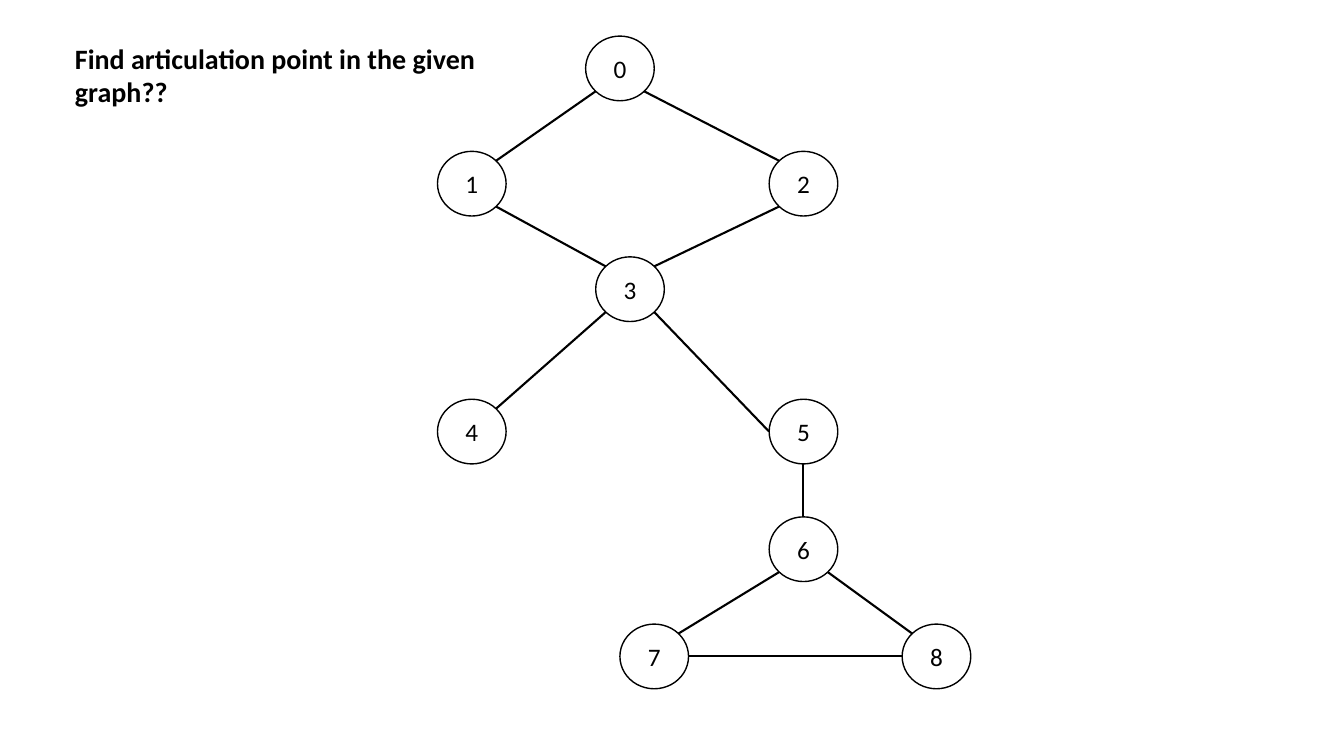
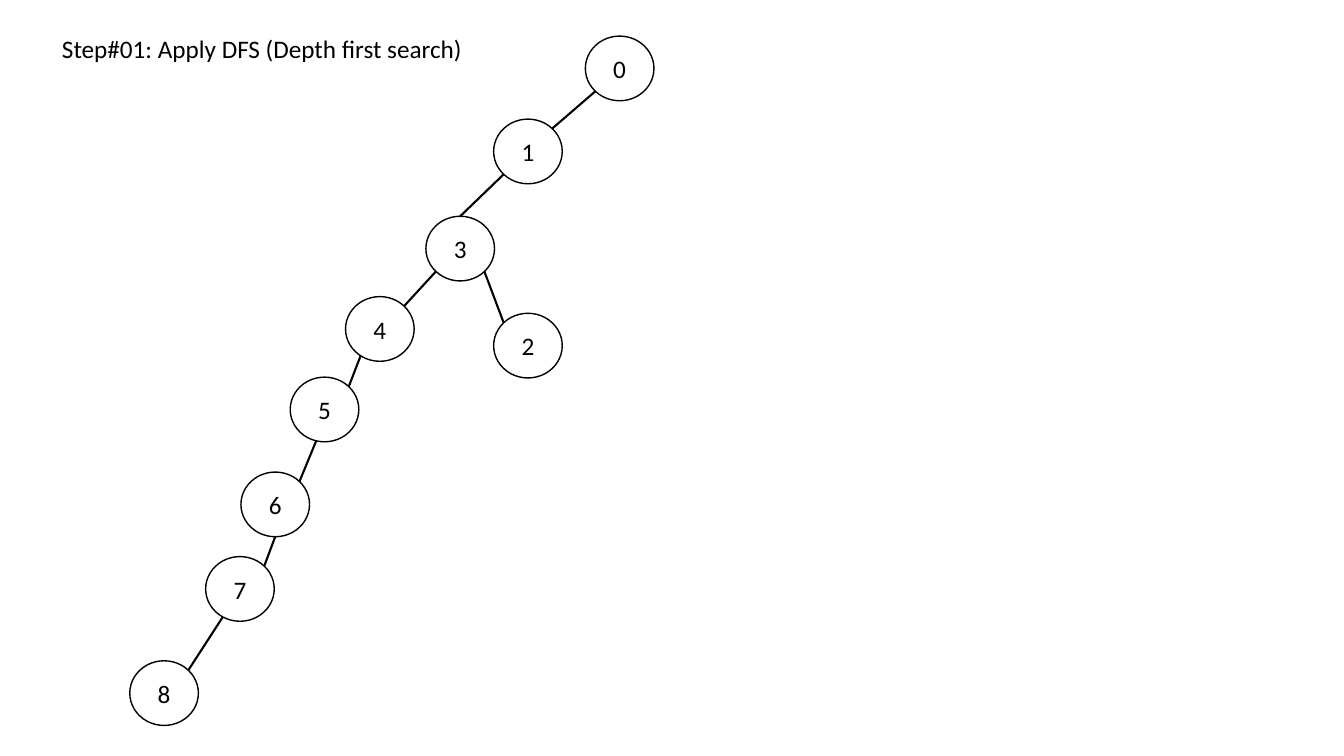
import math

import pptx
import pptx.dml.color
import pptx.enum.shapes
import pptx.enum.text
import pptx.oxml.ns
import pptx.util
from lxml import etree

Pt = pptx.util.Pt
COLORS = {"ink": "000000", "paper": "FFFFFF"}
FONT = "Calibri"
NODE_W, NODE_H = 49, 46.2
ANGLES = {"right": 0, "bottom right": 45, "bottom": 90, "bottom left": 135,
          "left": 180, "top left": 225, "top": 270, "top right": 315}

QUESTION_NODES = {
    "0": (105.8, 0), "1": (0, 82.3), "2": (236.9, 82.3),
    "3": (113, 157.7), "4": (0, 259.4), "5": (236.9, 259.4),
    "6": (236.9, 343.4), "7": (130.3, 420), "8": (331.9, 420),
}
QUESTION_EDGES = [
    ("1", "top right", "0", "bottom left"),
    ("0", "bottom right", "2", "top left"),
    ("3", "top left", "1", "bottom right"),
    ("3", "top right", "2", "bottom left"),
    ("4", "top right", "3", "bottom left"),
    ("5", "left", "3", "bottom right"),
    ("6", "top", "5", "bottom"),
    ("7", "top right", "6", "bottom left"),
    ("6", "bottom right", "8", "top left"),
    ("7", "right", "8", "left"),
]
DFS_NODES = {
    "0": (325.4, 0), "1": (259.9, 59.3), "2": (259.9, 198),
    "3": (211.5, 128.7), "4": (154.1, 186.1), "5": (114.6, 243.6),
    "6": (79.4, 311.4), "7": (54.2, 371.8), "8": (0, 446.2),
}
DFS_EDGES = [
    ("1", "top right", "0", "bottom left"),
    ("3", "top", "1", "bottom left"),
    ("4", "top right", "3", "bottom left"),
    ("5", "top right", "4", 124),
    ("6", "top right", "5", 104),
    ("7", "top right", "6", "bottom"),
    ("8", "top right", "7", 120),
    ("2", "top left", "3", "bottom right"),
]


def color(name):
    return pptx.dml.color.RGBColor.from_string(COLORS[name])


def add_text(frame, text, size, bold=False):
    run = frame.paragraphs[0].add_run()
    run.text = text
    run.font.name = FONT
    run.font.size = Pt(size)
    run.font.bold = bold
    run.font.color.rgb = color("ink")


def add_heading(slide, box, text, size, bold=False):
    frame = slide.shapes.add_textbox(*map(Pt, box)).text_frame
    frame.word_wrap = True
    frame.auto_size = pptx.enum.text.MSO_AUTO_SIZE.SHAPE_TO_FIT_TEXT
    add_text(frame, text, size, bold)


def add_node(slide, left, top, label):
    node = slide.shapes.add_shape(
        pptx.enum.shapes.MSO_SHAPE.OVAL, Pt(left), Pt(top), Pt(NODE_W), Pt(NODE_H))
    node.shadow.inherit = False
    node.fill.solid()
    node.fill.fore_color.rgb = color("paper")
    node.line.color.rgb = color("ink")
    node.line.width = Pt(1)
    node.text_frame.vertical_anchor = pptx.enum.text.MSO_ANCHOR.MIDDLE
    node.text_frame.paragraphs[0].alignment = pptx.enum.text.PP_ALIGN.CENTER
    add_text(node.text_frame, label, 18)


def rim_point(left, top, side):
    angle = math.radians(ANGLES.get(side, side))
    return (Pt(left + NODE_W / 2 * (1 + math.cos(angle))),
            Pt(top + NODE_H / 2 * (1 + math.sin(angle))))


def add_edge(slide, start, end):
    edge = slide.shapes.add_connector(
        pptx.enum.shapes.MSO_CONNECTOR.STRAIGHT, *start, *end)
    edge.line.color.rgb = color("ink")
    edge.line.width = Pt(1.5)
    etree.SubElement(edge._element.spPr, pptx.oxml.ns.qn("a:effectLst"))


def add_graph(slide, left, top, nodes, edges):
    places = {label: (left + x, top + y) for label, (x, y) in nodes.items()}
    for label, place in places.items():
        add_node(slide, *place, label)
    for start, start_side, end, end_side in edges:
        add_edge(slide, rim_point(*places[start], start_side),
                 rim_point(*places[end], end_side))


def main():
    deck = pptx.Presentation()
    deck.slide_width, deck.slide_height = Pt(960), Pt(540)
    blank = deck.slide_layouts[6]

    question = deck.slides.add_slide(blank)
    add_graph(question, 312.5, 25.8, QUESTION_NODES, QUESTION_EDGES)
    add_heading(question, (46.5, 26, 314.6, 56.9),
                "Find articulation point in the given graph??", 20, True)

    dfs = deck.slides.add_slide(blank)
    add_graph(dfs, 92.7, 25.8, DFS_NODES, DFS_EDGES)
    add_heading(dfs, (37.2, 20.3, 315.4, 29),
                "Step#01: Apply DFS (Depth first search)", 18)

    deck.save("out.pptx")


if __name__ == "__main__":
    main()
